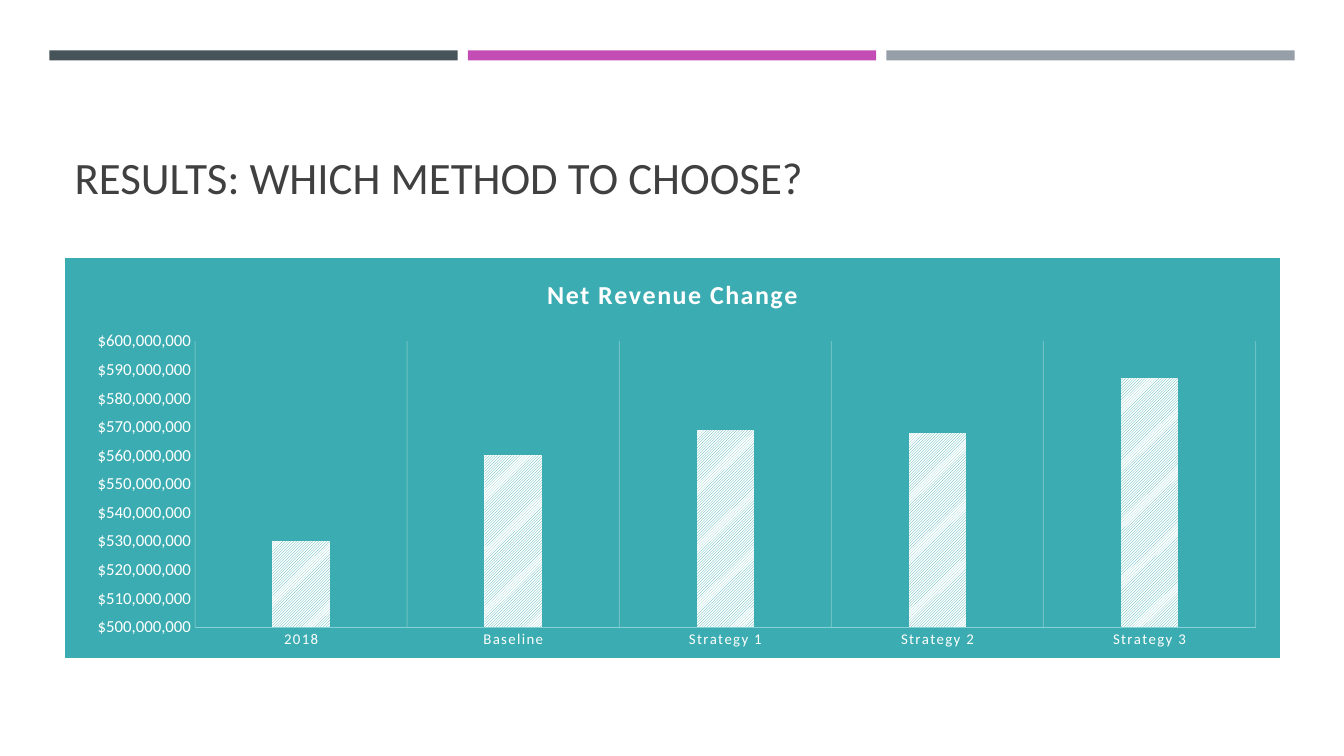
from lxml import etree
from pptx import Presentation
from pptx.chart.data import CategoryChartData
from pptx.dml.color import RGBColor
from pptx.enum.chart import XL_CHART_TYPE as ChartType, XL_TICK_MARK as TickMark
from pptx.enum.dml import MSO_PATTERN as Pattern
from pptx.enum.shapes import MSO_SHAPE as Shape
from pptx.enum.text import MSO_ANCHOR as Anchor, PP_ALIGN as Align
from pptx.oxml import parse_xml
from pptx.oxml.ns import nsdecls, qn
from pptx.util import Inches, Pt

COLORS = {
    "slate": "465359",
    "magenta": "C34DB4",
    "gray": "969FA7",
    "title": "404040",
    "teal": "3BACB1",
    "pale_teal": "84D2D6",
    "white": "FFFFFF",
}
FONT = "Calibri"
REVENUE = {
    "2018": 530_000_000,
    "Baseline": 560_000_000,
    "Strategy 1": 569_000_000,
    "Strategy 2": 568_000_000,
    "Strategy 3": 587_000_000,
}
PLOT_AREA = {"x": 0.107, "y": 0.207, "w": 0.873, "h": 0.716}


def color(name):
    """Return the named colour."""
    return RGBColor.from_string(COLORS[name])


def style_font(font, size, name, bold=False):
    """Set typeface, size, colour and weight."""
    font.name = FONT
    font.size = Pt(size)
    font.bold = bold
    font.color.rgb = color(name)


def add_bars(page):
    """Draw the three bars across the top."""
    for index, name in enumerate(("slate", "magenta", "gray")):
        bar = page.shapes.add_shape(
            Shape.RECTANGLE, Inches(0.49 + 4.15 * index), Inches(0.5),
            Inches(4.05), Inches(0.1))
        bar.shadow.inherit = False
        bar.fill.solid()
        bar.fill.fore_color.rgb = color(name)
        bar.line.fill.background()


def set_title(page, text):
    """Place and format the slide title."""
    title = page.shapes.title
    title.left, title.top = Inches(0.64), Inches(0.77)
    title.width, title.height = Inches(12.06), Inches(1.3)
    frame = title.text_frame
    frame.text = text
    frame.vertical_anchor = Anchor.BOTTOM
    para = frame.paragraphs[0]
    para.alignment = Align.LEFT
    style_font(para.font, 32, "title")


def place_plot(chart):
    """Fix the inner plot area as fractions of the chart."""
    area = chart._chartSpace.find(".//" + qn("c:plotArea"))
    for old in area.findall(qn("c:layout")):
        area.remove(old)
    layout = parse_xml(f'<c:layout {nsdecls("c")}><c:manualLayout/></c:layout>')
    settings = {"layoutTarget": "inner", "xMode": "edge", "yMode": "edge", **PLOT_AREA}
    for tag, value in settings.items():
        etree.SubElement(layout[0], qn("c:" + tag)).set("val", str(value))
    area.insert(0, layout)


def fill_background(chart):
    """Fill and outline the chart area."""
    fill = f'<a:solidFill><a:srgbClr val="{COLORS["teal"]}"/></a:solidFill>'
    chart._chartSpace.find(qn("c:chart")).addnext(parse_xml(
        f'<c:spPr {nsdecls("c", "a")}>{fill}<a:ln w="9525">{fill}</a:ln></c:spPr>'))


def style_chart_title(chart, text):
    """Write the chart title with spaced bold letters."""
    chart.has_title = True
    chart.chart_title.include_in_layout = False
    para = chart.chart_title.text_frame.paragraphs[0]
    span = para.add_run()
    span.text = text
    style_font(span.font, 18.6, "white", bold=True)
    span._r.get_or_add_rPr().set("spc", "100")


def style_axes(chart):
    """Format the scale, labels and grid of both axes."""
    category, value = chart.category_axis, chart.value_axis
    for axis, size in ((category, 10.6), (value, 12)):
        axis.major_tick_mark = axis.minor_tick_mark = TickMark.NONE
        style_font(axis.tick_labels.font, size, "white")
    category._element.find(".//" + qn("a:defRPr")).set("spc", "100")
    category.format.line.color.rgb = color("pale_teal")
    category.format.line.width = Pt(0.25)
    category.has_major_gridlines = True
    grid = category.major_gridlines.format.line
    grid.color.rgb = color("white")
    grid.width = Pt(0.75)
    shade = category._element.find(
        f'{qn("c:majorGridlines")}//{qn("a:srgbClr")}')
    etree.SubElement(shade, qn("a:alpha")).set("val", "25000")
    value.has_major_gridlines = False
    value.format.line.fill.background()
    value.minimum_scale, value.maximum_scale = 500_000_000, 600_000_000
    value.major_unit = 10_000_000
    value.tick_labels.number_format = '"$"#,##0'
    value.tick_labels.number_format_is_linked = False


def add_revenue_chart(page):
    """Add the column chart of net revenue."""
    data = CategoryChartData()
    data.categories = list(REVENUE)
    data.add_series("Series 1", list(REVENUE.values()))
    chart = page.shapes.add_chart(
        ChartType.COLUMN_CLUSTERED, Inches(0.64), Inches(2.56),
        Inches(12.06), Inches(3.97), data).chart
    style_font(chart.font, 10, "white")
    chart.has_legend = False
    style_chart_title(chart, "Net Revenue Change")
    style_axes(chart)
    place_plot(chart)
    fill_background(chart)
    plot = chart.plots[0]
    plot.vary_by_categories = False
    plot.gap_width, plot.overlap = 269, -20
    fill = plot.series[0].format.fill
    fill.patterned()
    fill.pattern = Pattern.LIGHT_UPWARD_DIAGONAL
    fill.fore_color.rgb = color("teal")
    fill.back_color.rgb = color("white")


def main():
    """Build the slide and save it."""
    deck = Presentation()
    deck.slide_width, deck.slide_height = Inches(13.33), Inches(7.5)
    page = deck.slides.add_slide(deck.slide_layouts[5])
    add_bars(page)
    set_title(page, "RESULTS: WHICH METHOD TO CHOOSE?")
    add_revenue_chart(page)
    deck.save("out.pptx")


if __name__ == "__main__":
    main()
